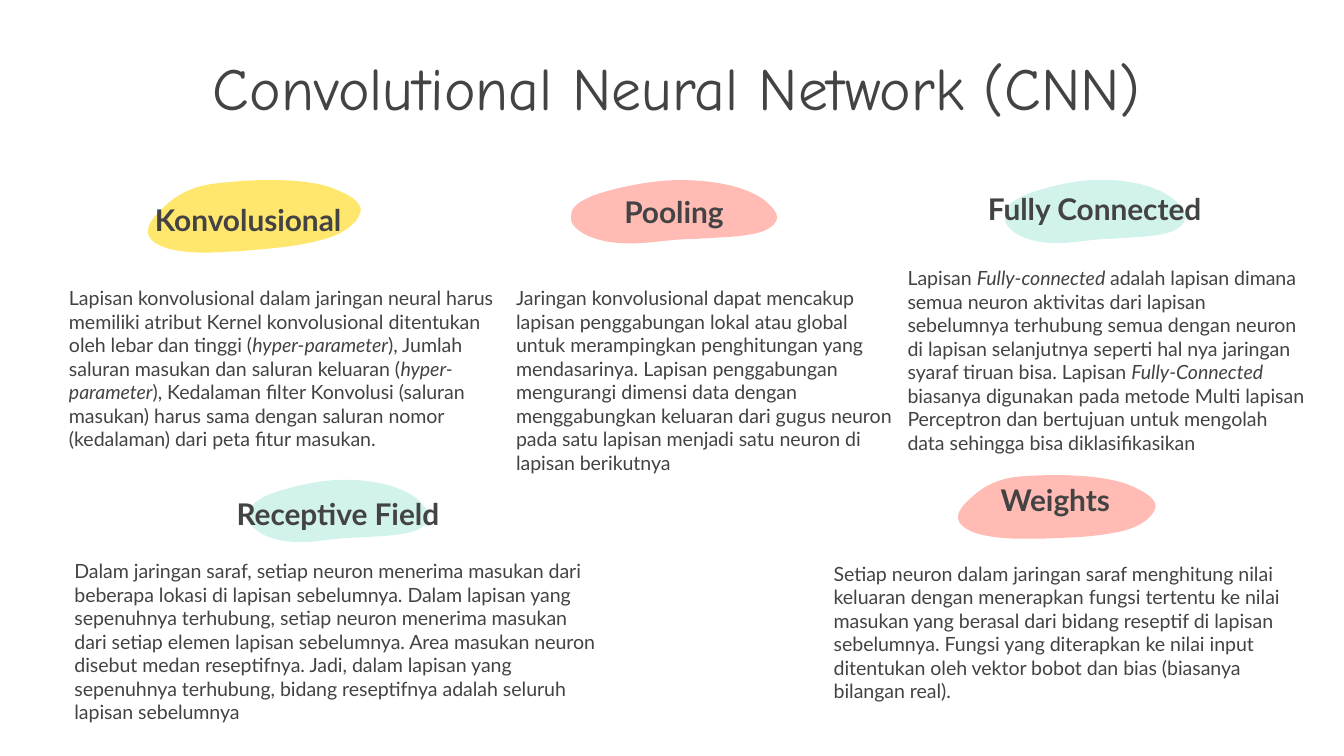
"""Build a slide on the five building blocks of a convolutional neural network."""
from lxml import etree
from pptx import Presentation
from pptx.dml.color import RGBColor
from pptx.enum import text
from pptx.oxml.ns import qn
from pptx.util import Pt

INK = RGBColor(0x43, 0x43, 0x43)
YELLOW = RGBColor(0xFF, 0xE7, 0x6E)
PINK = RGBColor(0xFF, 0xBB, 0xB4)
MINT = RGBColor(0xD2, 0xF2, 0xEC)
INSET = 7.2
HEADING_LINE = 19.2

PEBBLE = (48, 134, [
    (27, 0), (24, 0), (21, 2), (18, 5), (8, 13), (0, 34), (0, 63),
    (0, 83), (6, 106), (11, 119), (16, 130), (20, 134), (26, 134),
    (27, 134), (28, 134), (30, 134), (39, 131), (48, 115), (46, 88),
    (45, 76), (43, 65), (43, 53), (42, 42), (42, 29), (40, 19),
    (38, 6), (33, 1), (28, 0), (28, 0), (27, 0), (27, 0)])
LEAF = (171, 54, [
    (103, 0), (102, 0), (101, 0), (99, 0), (88, 0), (77, 1), (66, 2),
    (57, 3), (50, 4), (43, 7), (35, 10), (28, 15), (24, 19),
    (13, 29), (0, 43), (26, 51), (33, 53), (44, 54), (54, 54),
    (63, 54), (72, 53), (79, 53), (100, 51), (119, 50), (138, 45),
    (156, 41), (167, 32), (169, 24), (171, 18), (163, 12), (153, 8),
    (141, 2), (122, 0), (103, 0)])

BLOBS = [
    (PEBBLE, MINT, (164.2, 226.1, 34.6, 96.5), 90),
    (PEBBLE, MINT, (569.1, 65.7, 35.2, 96.5), 90),
    (PEBBLE, PINK, (343.5, 59, 35.2, 110.2), 90),
    (LEAF, PINK, (506.3, 254.2, 113.8, 35.3), 2.7),
    (LEAF, YELLOW, (71.4, 96.5, 123.1, 38.9), 0),
]

HEADINGS = [
    ("Konvolusional", (57, 85, 151.9, 65.5), 0),
    ("Pooling", (285.1, 95.8, 151.9, 54), HEADING_LINE),
    ("Fully Connected", (510.5, 96, 151.9, 50.4), HEADING_LINE),
    ("Receptive Field", (105.1, 257, 151.9, 55.4), HEADING_LINE),
    ("Weights", (489.4, 251.7, 151.9, 51.1), HEADING_LINE),
]

BODIES = [
    ("Lapisan konvolusional dalam jaringan neural harus memiliki atribut Kernel "
     "konvolusional ditentukan oleh lebar dan tinggi (*hyper-parameter*), Jumlah "
     "saluran masukan dan saluran keluaran (*hyper-parameter*), Kedalaman filter "
     "Konvolusi (saluran masukan) harus sama dengan saluran nomor (kedalaman) "
     "dari peta fitur masukan.", (19.9, 146.1, 254.9, 100.1), 10),
    ("Jaringan konvolusional dapat mencakup lapisan penggabungan lokal atau "
     "global untuk merampingkan penghitungan yang mendasarinya. Lapisan "
     "penggabungan mengurangi dimensi data dengan menggabungkan keluaran dari "
     "gugus neuron pada satu lapisan menjadi satu neuron di lapisan berikutnya",
     (269.4, 146.1, 221, 124.6), 0),
    ("Lapisan *Fully-connected *adalah lapisan dimana semua neuron aktivitas dari "
     "lapisan sebelumnya terhubung semua dengan neuron di lapisan selanjutnya "
     "seperti hal nya jaringan syaraf tiruan bisa. Lapisan *Fully-Connected "
     "*biasanya digunakan pada metode Multi lapisan Perceptron dan bertujuan "
     "untuk mengolah data sehingga bisa diklasifikasikan",
     (479.1, 135.4, 229.7, 88.6), 0),
    ("Dalam jaringan saraf, setiap neuron menerima masukan dari beberapa lokasi "
     "di lapisan sebelumnya. Dalam lapisan yang sepenuhnya terhubung, setiap "
     "neuron menerima masukan dari setiap elemen lapisan sebelumnya. Area masukan "
     "neuron disebut medan reseptifnya. Jadi, dalam lapisan yang sepenuhnya "
     "terhubung, bidang reseptifnya adalah seluruh lapisan sebelumnya",
     (-3.2, 292.3, 333, 117.4), 36),
    ("Setiap neuron dalam jaringan saraf menghitung nilai keluaran dengan "
     "menerapkan fungsi tertentu ke nilai masukan yang berasal dari bidang "
     "reseptif di lapisan sebelumnya. Fungsi yang diterapkan ke nilai input "
     "ditentukan oleh vektor bobot dan bias (biasanya bilangan real).",
     (439.5, 293.8, 260.6, 73.4), 0),
]


def bend(sp):
    """Turn each run of three line segments into one cubic curve."""
    lines = list(sp._element.iter(qn("a:lnTo")))
    for i in range(0, len(lines), 3):
        curve = etree.Element(qn("a:cubicBezTo"))
        lines[i].addprevious(curve)
        for line in lines[i:i + 3]:
            curve.append(line[0])
            line.getparent().remove(line)


def add_blob(s, outline, color, box, rotation):
    width, height, nodes = outline
    left, top, w, h = box
    points = [(Pt(left + x * w / width), Pt(top + y * h / height)) for x, y in nodes]
    builder = s.shapes.build_freeform(*points[0])
    builder.add_line_segments(points[1:], close=True)
    sp = builder.convert_to_shape()
    bend(sp)
    sp.rotation = rotation
    sp.shadow.inherit = False
    sp.fill.solid()
    sp.fill.fore_color.rgb = color
    sp.line.fill.background()


def add_text(s, box, size, name="Lato", bold=False):
    sp = s.shapes.add_textbox(*map(Pt, box))
    tf = sp.text_frame
    tf.word_wrap = True
    tf.margin_left = tf.margin_right = tf.margin_top = tf.margin_bottom = Pt(INSET)
    p = tf.paragraphs[0]
    p.font.name, p.font.size, p.font.bold = name, Pt(size), bold
    p.font.color.rgb = INK
    return tf, p


def add_centered(s, words, box, size, name="Lato", bold=False, lift=0):
    tf, p = add_text(s, box, size, name, bold)
    tf.vertical_anchor = text.MSO_ANCHOR.MIDDLE
    tf.margin_bottom = Pt(INSET + lift)
    p.alignment = text.PP_ALIGN.CENTER
    p.add_run().text = words


def add_body(s, body, box, indent):
    _, p = add_text(s, box, 10.5)
    p._p.get_or_add_pPr().set("marL", str(Pt(indent)))
    for i, part in enumerate(body.split("*")):
        r = p.add_run()
        r.text = part
        if i % 2:
            r.font.italic = True


def main():
    prs = Presentation()
    prs.slide_width, prs.slide_height = Pt(720), Pt(405)
    s = prs.slides.add_slide(prs.slide_layouts[6])
    add_centered(s, "Convolutional Neural Network (CNN)",
                 (55.4, 26.9, 614.9, 38.9), 32, "Comic Neue")
    for blob in BLOBS:
        add_blob(s, *blob)
    for heading, box, lift in HEADINGS:
        add_centered(s, heading, box, 16, bold=True, lift=lift)
    for body in BODIES:
        add_body(s, *body)
    prs.save("out.pptx")


if __name__ == "__main__":
    main()
